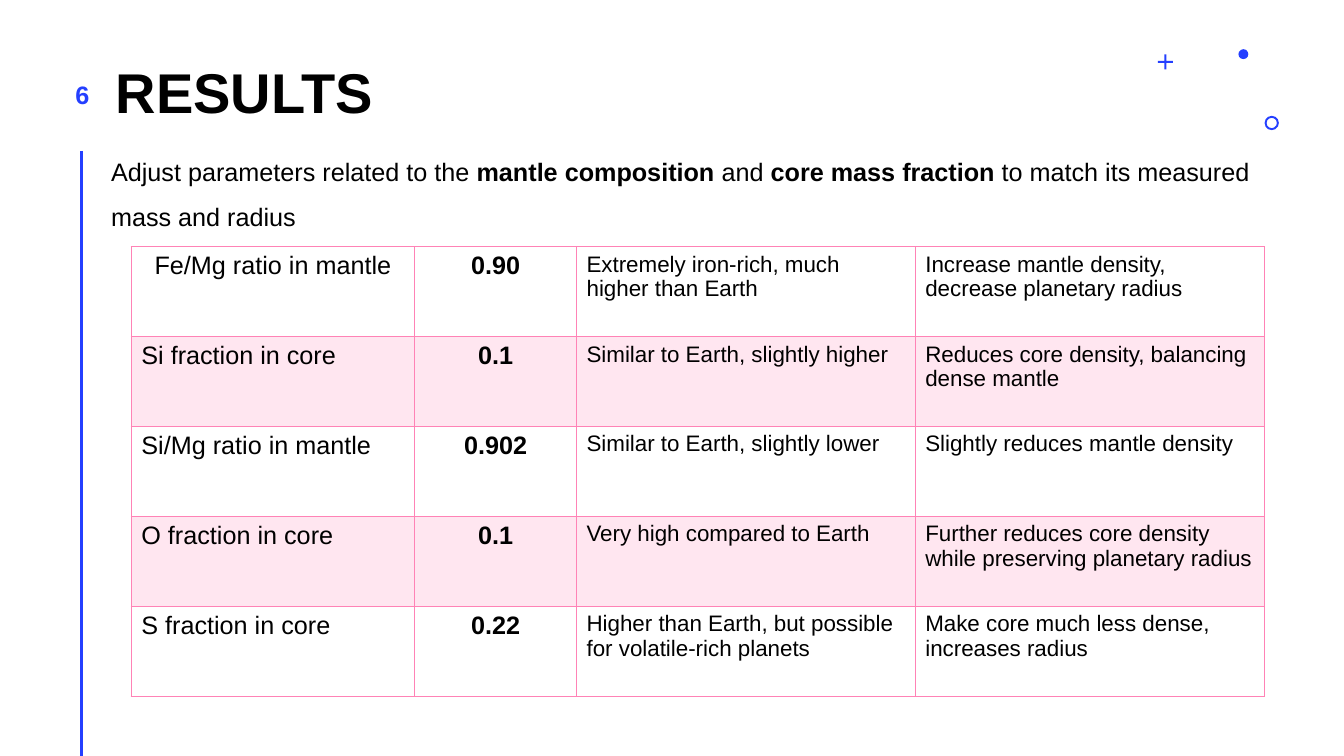
import lxml.etree
import pptx
import pptx.dml.color
import pptx.enum.shapes
import pptx.enum.text
import pptx.oxml.ns
import pptx.util

Cm = pptx.util.Cm
Pt = pptx.util.Pt
qn = pptx.oxml.ns.qn
ALIGN = pptx.enum.text.PP_ALIGN
ANCHOR = pptx.enum.text.MSO_ANCHOR
SHAPE = pptx.enum.shapes.MSO_SHAPE

BLACK = pptx.dml.color.RGBColor(0x00, 0x00, 0x00)
BLUE = pptx.dml.color.RGBColor(0x24, 0x3F, 0xFF)
PINK = pptx.dml.color.RGBColor(0xFF, 0x83, 0xB6)

INTRODUCTION = [
    ("Adjust parameters related to the ", False),
    ("mantle composition ", True),
    ("and ", False),
    ("core mass fraction ", True),
    ("to match its measured mass and radius", False),
]
RESULTS = [
    ("Fe/Mg ratio in mantle", "0.90", "Extremely iron-rich, much higher than Earth",
     "Increase mantle density, decrease planetary radius"),
    ("Si fraction in core", "0.1", "Similar to Earth, slightly higher",
     "Reduces core density, balancing dense mantle"),
    ("Si/Mg ratio in mantle", "0.902", "Similar to Earth, slightly lower",
     "Slightly reduces mantle density"),
    ("O fraction in core", "0.1", "Very high compared to Earth",
     "Further reduces core density while preserving planetary radius"),
    ("S fraction in core", "0.22", "Higher than Earth, but possible for volatile-rich planets",
     "Make core much less dense, increases radius"),
]
COLUMN_SHARES = [0.25, 0.143, 0.299, 0.308]
COLUMN_SIZES = [18, 18, 16, 16]
VALUE_COLUMN = 1


def write_text(paragraph, text, size=18, bold=False, color=BLACK, align=ALIGN.LEFT):
    paragraph.alignment = align
    run = paragraph.add_run()
    run.text = text
    run.font.name = "Arial"
    run.font.size = Pt(size)
    run.font.bold = bold
    run.font.color.rgb = color


def add_text_area(slide, left, top, width, height, anchor=ANCHOR.TOP):
    frame = slide.shapes.add_textbox(Cm(left), Cm(top), Cm(width), Cm(height)).text_frame
    frame.word_wrap = True
    frame.vertical_anchor = anchor
    frame.margin_left = frame.margin_right = frame.margin_top = frame.margin_bottom = 0
    return frame.paragraphs[0]


def add_side_rule(slide, left, top, bottom):
    rule = slide.shapes.add_connector(
        pptx.enum.shapes.MSO_CONNECTOR.STRAIGHT, Cm(left), Cm(top), Cm(left), Cm(bottom))
    rule.line.color.rgb = BLUE
    rule.line.width = Pt(2)
    lxml.etree.SubElement(rule._element.spPr, qn("a:effectLst"))


def add_ornaments(slide, left, top):
    ornaments = [
        (SHAPE.CROSS, 0, 0.13, 0.38, 0.43),
        (SHAPE.DONUT, 2.69, 1.68, 0.36, 0.14),
        (SHAPE.OVAL, 2.03, 0, 0.25, None),
    ]
    for kind, across, down, size, adjustment in ornaments:
        shape = slide.shapes.add_shape(
            kind, Cm(left + across), Cm(top + down), Cm(size), Cm(size))
        if adjustment is not None:
            shape.adjustments[0] = adjustment
        shape.shadow.inherit = False
        shape.fill.solid()
        shape.fill.fore_color.rgb = BLUE
        shape.line.fill.background()


def add_heading(slide, left, top, width, height):
    title = add_text_area(slide, left + 1.57, top, width - 1.57, height, ANCHOR.BOTTOM)
    title.line_spacing = Pt(40)
    write_text(title, "RESULTS", size=40, bold=True)
    number = add_text_area(slide, left, top + 2.42, 1.45, 1.45)
    write_text(number, "6", bold=True, color=BLUE, align=ALIGN.CENTER)


def add_introduction(slide, left, top, width, height):
    paragraph = add_text_area(slide, left, top, width, height)
    paragraph.line_spacing = 1.5
    paragraph.space_before = Pt(10)
    for text, bold in INTRODUCTION:
        write_text(paragraph, text, bold=bold)


def style_cell(cell, shaded):
    properties = cell._tc.get_or_add_tcPr()
    for side in ("lnL", "lnR", "lnT", "lnB"):
        border = lxml.etree.SubElement(properties, qn(f"a:{side}"), w=str(Pt(1)))
        fill = lxml.etree.SubElement(border, qn("a:solidFill"))
        lxml.etree.SubElement(fill, qn("a:srgbClr"), val=str(PINK))
    if shaded:
        cell.fill.solid()
        cell.fill.fore_color.rgb = PINK
        color = properties.find(qn("a:solidFill")).find(qn("a:srgbClr"))
        lxml.etree.SubElement(color, qn("a:alpha"), val="20000")
    else:
        cell.fill.background()


def add_results_table(slide, left, top, width, height):
    table = slide.shapes.add_table(
        len(RESULTS), len(COLUMN_SHARES), Cm(left), Cm(top), Cm(width), Cm(height)).table
    table.first_row = False
    table.horz_banding = False
    for column, share in zip(table.columns, COLUMN_SHARES):
        column.width = Cm(width * share)
    for row_index, texts in enumerate(RESULTS):
        table.rows[row_index].height = Cm(height / len(RESULTS))
        for column_index, text in enumerate(texts):
            cell = table.cell(row_index, column_index)
            is_value = column_index == VALUE_COLUMN
            is_centered = is_value or row_index == column_index == 0
            style_cell(cell, shaded=row_index % 2 == 1)
            write_text(cell.text_frame.paragraphs[0], text,
                       size=COLUMN_SIZES[column_index], bold=is_value,
                       align=ALIGN.CENTER if is_centered else ALIGN.LEFT)


def main():
    presentation = pptx.Presentation()
    presentation.slide_width = Cm(33.87)
    presentation.slide_height = Cm(19.05)
    slide = presentation.slides.add_slide(presentation.slide_layouts[6])
    add_side_rule(slide, 2.06, 3.8, 19.05)
    add_ornaments(slide, 29.18, 1.24)
    add_heading(slide, 1.35, -0.41, 26.95, 3.56)
    add_introduction(slide, 2.8, 3.56, 29.87, 2.41)
    add_results_table(slide, 3.31, 6.22, 28.55, 11.34)
    presentation.save("out.pptx")


if __name__ == "__main__":
    main()
